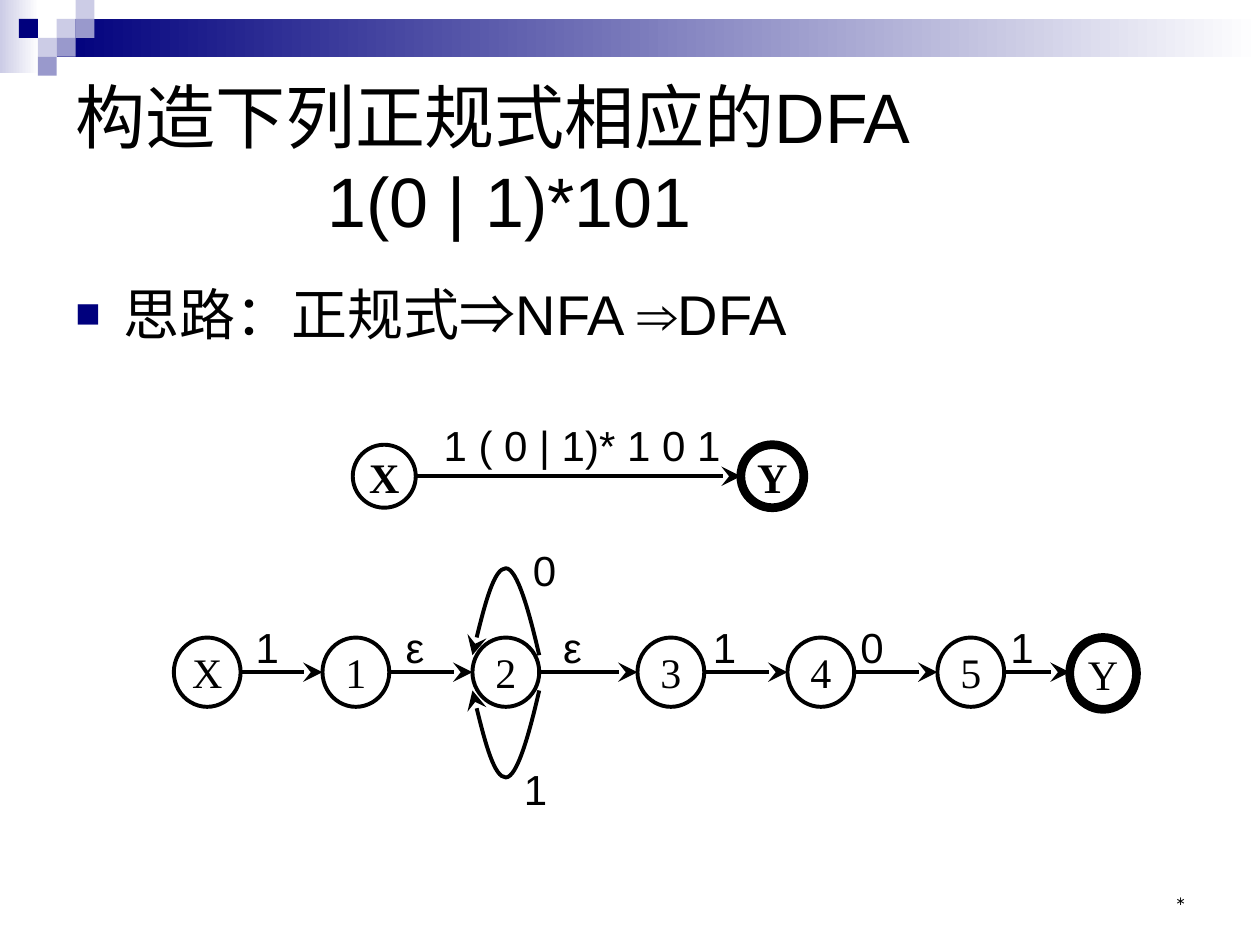
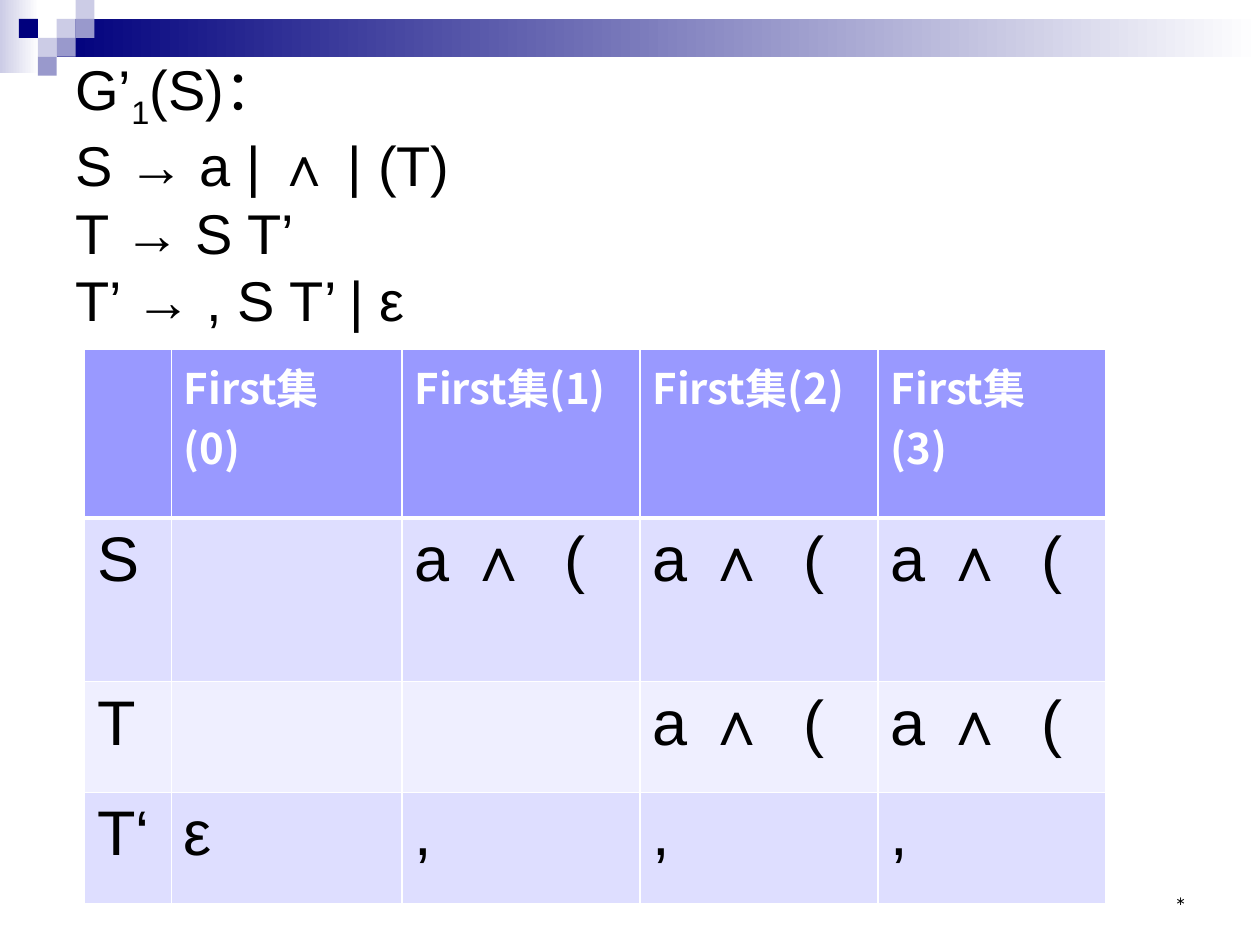
import pptx
import pptx.util
import pptx.dml.color
import pptx.enum.shapes
import pptx.enum.text
import pptx.oxml.ns
from lxml import etree

Inches = pptx.util.Inches
ALIGN = pptx.enum.text.PP_ALIGN
ANCHOR = pptx.enum.text.MSO_ANCHOR
SHAPE = pptx.enum.shapes.MSO_SHAPE
qn = pptx.oxml.ns.qn

COLORS = {
    "ink": "000000", "white": "FFFFFF", "navy": "00007D", "light": "CCCCE6", "mid": "9999CC",
    "header": "9999FF", "band": "DEDEFF", "pale": "EFEFFF",
}
SANS, SERIF, CJK, FOOTER = "Arial", "Times New Roman", "Noto Sans CJK SC", "Montserrat"
LINE_WIDTH, FINAL_WIDTH = 2.25, 5


def rgb(name):
    """Return the named palette colour."""
    return pptx.dml.color.RGBColor.from_string(COLORS[name])


def add_element(parent, tag, **attributes):
    """Append one drawing element to a parent and return it."""
    return etree.SubElement(parent, qn(tag), {key: str(value) for key, value in attributes.items()})


def write(para, text, size=24, font=SANS, color="ink", bold=False, align=None, baseline=0):
    """Add text to a paragraph in one format, with a line break at each newline."""
    if align is not None:
        para.alignment = align
    for index, line in enumerate(text.split("\n")):
        if index:
            para.add_line_break()
        span = para.add_run()
        span.text = line
        span.font.size = pptx.util.Pt(size)
        span.font.bold = bold
        span.font.color.rgb = rgb(color)
        span.font.name = font
        properties = span.font._element
        add_element(properties, "a:ea", typeface=CJK)
        if baseline:
            properties.set("baseline", str(baseline * 1000))


def add_text_box(page, left, top, width, height, anchor=ANCHOR.TOP, wrap=True):
    """Add an empty text box and return its first paragraph."""
    box = page.shapes.add_textbox(Inches(left), Inches(top), Inches(width), Inches(height))
    box.text_frame.word_wrap = wrap
    box.text_frame.vertical_anchor = anchor
    return box.text_frame.paragraphs[0]


def add_block(page, left, top, width, height, color, fade=False):
    """Add a borderless rectangle, plain or fading to white."""
    block = page.shapes.add_shape(
        SHAPE.RECTANGLE, Inches(left), Inches(top), Inches(width), Inches(height))
    block.shadow.inherit = False
    block.line.fill.background()
    if fade:
        block.fill.gradient()
        block.fill.gradient_angle = 0
        for stop, name in zip(block.fill.gradient_stops, (color, "white")):
            stop.color.rgb = rgb(name)
    else:
        block.fill.solid()
        block.fill.fore_color.rgb = rgb(color)


def add_page(deck):
    """Add a blank page with the shared top band and footer."""
    page = deck.slides.add_slide(deck.slide_layouts[6])
    add_block(page, 0, 0, 0.31, 0.58, "light", fade=True)
    add_block(page, 0.45, 0.15, 9.55, 0.3, "navy", fade=True)
    unit = 0.15
    squares = [(3, 1, "light"), (4, 0, "light"), (4, 1, "mid"), (2, 2, "light"),
               (1, 1, "navy"), (3, 2, "mid"), (2, 3, "mid")]
    for column, row, color in squares:
        add_block(page, column * unit, row * unit, unit, unit, color)
    footer = add_text_box(page, 7.17, 6.83, 2.33, 0.5, ANCHOR.BOTTOM)
    write(footer, "*", size=12, font=FOOTER, align=ALIGN.RIGHT)
    return page


def add_title(page, height):
    """Add the title box and return its paragraph."""
    return add_text_box(page, 0.5, 0.5, 9, height, ANCHOR.MIDDLE)


def style_line(line, width=LINE_WIDTH, arrow=False):
    """Give a line its colour and width, and an arrowhead if asked."""
    line.color.rgb = rgb("ink")
    line.width = pptx.util.Pt(width)
    if arrow:
        add_element(line._get_or_add_ln(), "a:tailEnd", type="stealth", w="lg", len="lg")


def add_state(page, left, top, width, height, name, final=False, bold=False):
    """Add an automaton state, with a heavy outline when it is final."""
    state = page.shapes.add_shape(
        SHAPE.OVAL, Inches(left), Inches(top), Inches(width), Inches(height))
    state.shadow.inherit = False
    state.fill.solid()
    state.fill.fore_color.rgb = rgb("white")
    style_line(state.line, FINAL_WIDTH if final else LINE_WIDTH)
    frame = state.text_frame
    frame.margin_left = frame.margin_right = frame.margin_top = frame.margin_bottom = 0
    frame.vertical_anchor = ANCHOR.MIDDLE
    frame.word_wrap = False
    write(frame.paragraphs[0], name, font=SERIF, bold=bold, align=ALIGN.CENTER)


def add_arrow(page, start, end, level):
    """Add a horizontal transition arrow."""
    arrow = page.shapes.add_connector(
        pptx.enum.shapes.MSO_CONNECTOR.STRAIGHT,
        Inches(start), Inches(level), Inches(end), Inches(level))
    style_line(arrow.line, arrow=True)
    add_element(arrow._element.spPr, "a:effectLst")


def add_loop(page, left, level, width, rise):
    """Add a curved self-transition that rises (or falls, if negative) from a level."""
    points = [(1, 0), (0.85, 0.5), (0.67, 1), (0.5, 1), (0.33, 1), (0.15, 0.5), (0, 0)]
    places = [(Inches(left + width * across), Inches(level - rise * up)) for across, up in points]
    builder = page.shapes.build_freeform(*places[0])
    builder.add_line_segments(places[1:], close=False)
    loop = builder.convert_to_shape()
    loop.shadow.inherit = False
    loop.fill.background()
    style_line(loop.line, arrow=True)
    path = loop._element.find(".//" + qn("a:path"))
    segments = path.findall(qn("a:lnTo"))
    for first in range(0, len(segments), 3):
        curve = add_element(path, "a:cubicBezTo")
        for segment in segments[first:first + 3]:
            curve.append(segment[0])
            path.remove(segment)


def add_start_diagram(page, left, top):
    """Draw the two-state automaton labelled with the whole expression."""
    size, gap, label_width = 0.5, 3.08, 2.9
    middle = top + 0.25 + size / 2
    add_state(page, left, top + 0.25, size, size, "X", bold=True)
    add_state(page, left + gap, top + 0.25, size, size, "Y", final=True, bold=True)
    add_arrow(page, left + size, left + gap, middle)
    label_left = left + 1.82 - label_width / 2
    label = add_text_box(page, label_left, top, label_width, size, ANCHOR.MIDDLE)
    write(label, "1 ( 0 | 1)* 1 0 1", align=ALIGN.CENTER)


def add_chain_diagram(page, left, top):
    """Draw the expanded chain of states with its two loops."""
    width, height, row = 0.53, 0.55, 0.79
    states = [("X", 0), ("1", 1.18), ("2", 2.37), ("3", 3.68), ("4", 4.87), ("5", 6.06), ("Y", 7.11)]
    for name, offset in states:
        final = name == "Y"
        add_state(page, left + offset, top + row, width, 0.57 if final else height, name, final)
    for (_, start), (_, end) in zip(states, states[1:]):
        add_arrow(page, left + start + width, left + end, top + row + height / 2)
    for level, rise in ((0.93, 0.69), (1.21, -0.69)):
        add_loop(page, left + 2.37, top + level, width, rise)
    labels = [("1", 0.55, 0.61), ("ε", 1.74, 0.61), ("ε", 2.99, 0.61), ("1", 4.18, 0.61),
              ("0", 5.35, 0.61), ("1", 6.54, 0.61), ("1", 2.68, 1.74), ("0", 2.75, 0)]
    for text, across, down in labels:
        box_width = 0.35 if text == "ε" else 0.39
        write(add_text_box(page, left + across, top + down, box_width, 0.5, wrap=False), text)


def add_automaton_page(deck):
    """Build the page that turns the expression into an automaton."""
    page = add_page(deck)
    title = add_title(page, 1.5)
    tabs = add_element(title._p.get_or_add_pPr(), "a:tabLst")
    for stop in (1, 2):
        add_element(tabs, "a:tab", pos=Inches(stop), algn="l")
    write(title, "构造下列正规式相应的DFA\n\t\t1(0 | 1)*101", size=40)
    body = add_text_box(page, 0.5, 2.17, 9, 4.25)
    properties = body._p.get_or_add_pPr()
    properties.set("marL", str(Inches(0.38)))
    properties.set("indent", str(-Inches(0.38)))
    add_element(add_element(properties, "a:buClr"), "a:srgbClr", val=COLORS["navy"])
    add_element(properties, "a:buSzPct", val=75000)
    add_element(properties, "a:buFont", typeface=SANS)
    add_element(properties, "a:buChar", char="■")
    write(body, "思路：正规式⇒NFA ⇒DFA", size=32)
    add_start_diagram(page, 2.8, 3.28)
    add_chain_diagram(page, 1.38, 4.27)


def style_cell(cell, color, top=1, bottom=1):
    """Give a cell its white borders and its fill."""
    properties = cell._tc.get_or_add_tcPr()
    for side, width in (("L", 1), ("R", 1), ("T", top), ("B", bottom)):
        edge = add_element(properties, "a:ln" + side, w=pptx.util.Pt(width))
        add_element(add_element(edge, "a:solidFill"), "a:srgbClr", val=COLORS["white"])
    cell.fill.solid()
    cell.fill.fore_color.rgb = rgb(color)


def add_first_table(page, left, top):
    """Add the table of First sets by iteration."""
    widths, heights = [0.69, 1.83, 1.89, 1.89, 1.81], [1.34, 1.3, 0.88, 0.88]
    first = "a ∧  ("
    rows = [
        [""] + [f"First集({step})" for step in range(4)],
        ["S", "", first, first, first],
        ["T", "", "", first, first],
        ["T‘", "ε", ",", ",", ","],
    ]
    table = page.shapes.add_table(
        len(rows), len(widths), Inches(left), Inches(top),
        Inches(sum(widths)), Inches(sum(heights))).table
    table.horz_banding = False
    for column, width in zip(table.columns, widths):
        column.width = Inches(width)
    for index, (texts, height) in enumerate(zip(rows, heights)):
        table.rows[index].height = Inches(height)
        fill = ("header", "band", "pale", "band")[index]
        for column, text in enumerate(texts):
            cell = table.cell(index, column)
            style_cell(cell, fill, top=3 if index == 1 else 1, bottom=3 if index == 0 else 1)
            para = cell.text_frame.paragraphs[0]
            if text and index == 0:
                cell.margin_right = Inches(0.25)
                write(para, text, font=CJK, color="white", bold=True)
            elif text:
                write(para, text, size=36)


def add_grammar_page(deck):
    """Build the page with the grammar and its First sets."""
    page = add_page(deck)
    title = add_title(page, 2.07)
    write(title, "G’", size=32)
    write(title, "1", size=32, baseline=-25)
    write(title, "(S)：\nS → a | ∧ | (T)\nT → S T’\nT’ → , S T’ | ε", size=32)
    add_first_table(page, 0.67, 2.77)


def main():
    """Build and save the deck."""
    deck = pptx.Presentation()
    deck.slide_width, deck.slide_height = Inches(10), Inches(7.5)
    add_automaton_page(deck)
    add_grammar_page(deck)
    deck.save("out.pptx")


if __name__ == "__main__":
    main()
